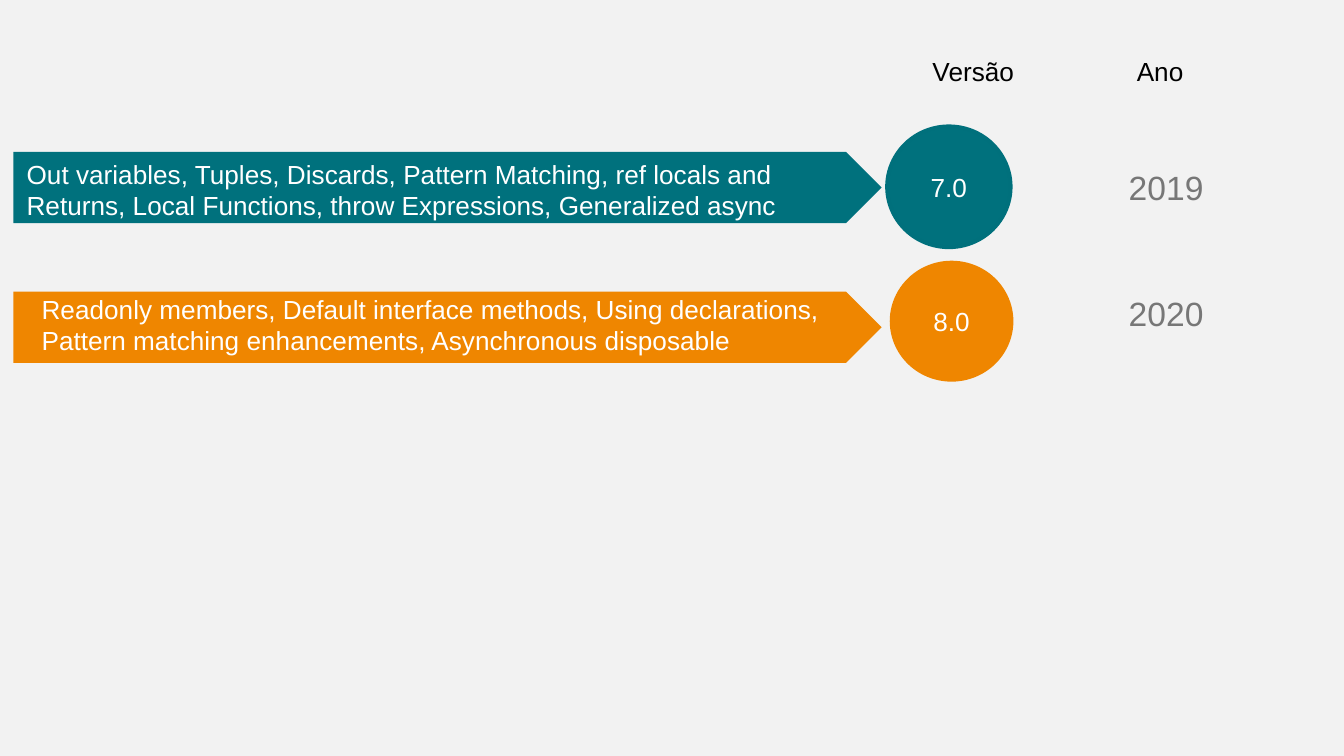
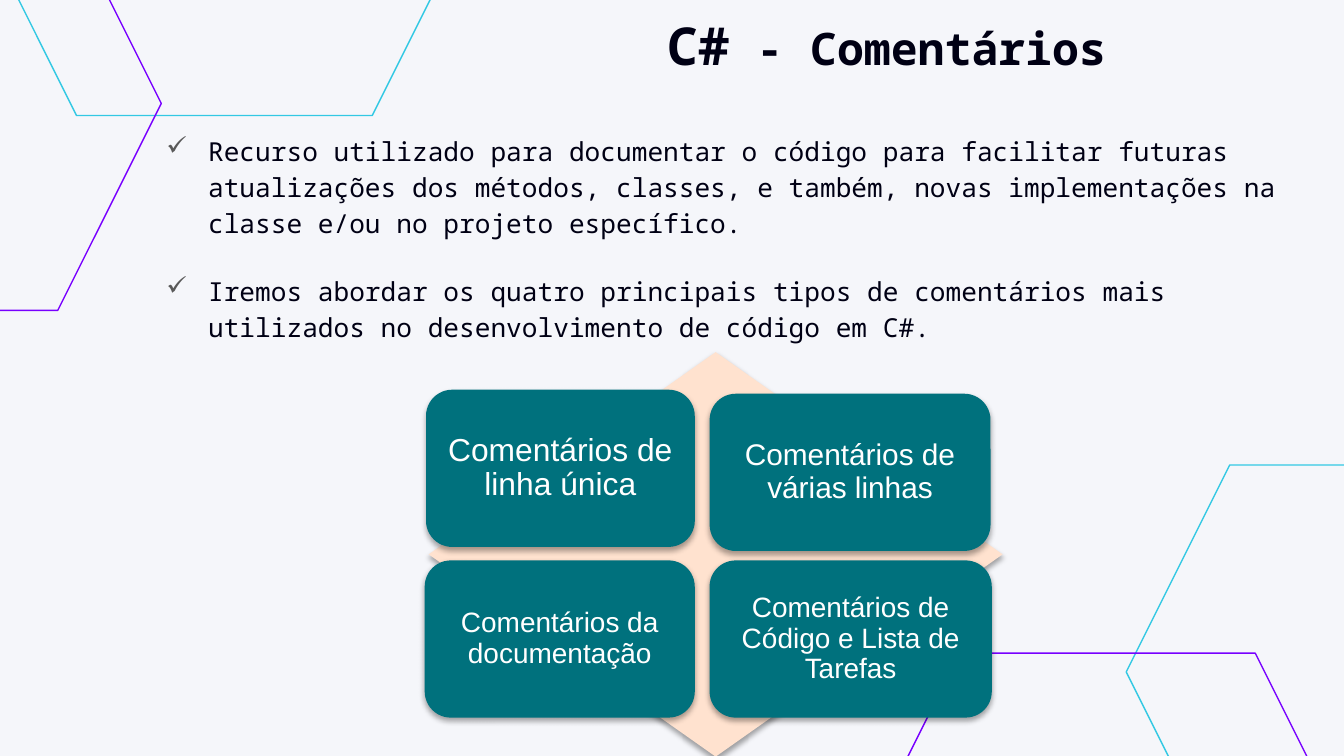
from lxml import etree
from pptx import Presentation
from pptx.dml.color import RGBColor
from pptx.enum.shapes import MSO_SHAPE
from pptx.enum.text import MSO_ANCHOR, MSO_AUTO_SIZE, PP_ALIGN
from pptx.oxml import parse_xml
from pptx.oxml.ns import nsdecls, qn
from pptx.util import Inches, Pt

ARROW, CIRCLE = MSO_SHAPE.PENTAGON, MSO_SHAPE.OVAL
HEXAGON, DIAMOND, CARD = MSO_SHAPE.HEXAGON, MSO_SHAPE.DIAMOND, MSO_SHAPE.ROUNDED_RECTANGLE
TOP, MIDDLE = MSO_ANCHOR.TOP, MSO_ANCHOR.MIDDLE
LEFT, CENTER = PP_ALIGN.LEFT, PP_ALIGN.CENTER
NO_FIT = MSO_AUTO_SIZE.NONE

TEAL = RGBColor(0x00, 0x71, 0x7D)
TEAL_EDGE = RGBColor(0x00, 0x70, 0x7C)
ORANGE = RGBColor(0xEF, 0x86, 0x00)
PEACH = RGBColor(0xFF, 0xE2, 0xCF)
CYAN = RGBColor(0x32, 0xC8, 0xE3)
PURPLE = RGBColor(0x78, 0x00, 0xFF)
INK = RGBColor(0x00, 0x00, 0x14)
BLACK = RGBColor(0x00, 0x00, 0x00)
GREY = RGBColor(0x77, 0x77, 0x77)
WHITE = RGBColor(0xFF, 0xFF, 0xFF)
PALE_GREY = RGBColor(0xF2, 0xF2, 0xF2)
PALE_BLUE = RGBColor(0xF5, 0xF6, 0xFA)

SANS, MONO = "Arial", "Noto Sans Mono"

# Grid: 100 columns across the slide, square cells
deck = Presentation()
deck.slide_width, deck.slide_height = Inches(10), Inches(5.625)
CELL = deck.slide_width // 100


def add_figure(slide, preset, box, fill=None, line=None, width=0.75):
    figure = slide.shapes.add_shape(preset, *(round(n * CELL) for n in box))
    figure.shadow.inherit = False
    if fill is None:
        figure.fill.background()
    else:
        figure.fill.solid()
        figure.fill.fore_color.rgb = fill
    if line is None:
        figure.line.fill.background()
    else:
        figure.line.color.rgb = line
        figure.line.width = Pt(width)
    return figure


def write(frame, paragraphs, color, size, face=SANS, extras="", frame_format=None, **paragraph_format):
    """Each paragraph is a text; extras holds bullet or tab elements."""
    for name, value in {"word_wrap": True, "auto_size": NO_FIT, **(frame_format or {})}.items():
        setattr(frame, name, value)
    for number, text in enumerate(paragraphs):
        paragraph = frame.add_paragraph() if number else frame.paragraphs[0]
        if extras:
            holder = parse_xml(f'<a:pPr {nsdecls("a")}>{extras}</a:pPr>')
            for element in list(holder):
                paragraph._p.get_or_add_pPr().append(element)
        for name, value in paragraph_format.items():
            setattr(paragraph, name, value)
        run = paragraph.add_run()
        run.text = text
        for name, value in {"name": face, "size": Pt(size)}.items():
            setattr(run.font, name, value)
        run.font.color.rgb = color


# Slide 1: versions, their features and years
versions = deck.slides.add_slide(deck.slide_layouts[6])
versions.background.fill.solid()
versions.background.fill.fore_color.rgb = PALE_GREY

heading = versions.shapes.add_textbox(*(round(n * CELL) for n in (68.4, 3.6, 21, 3.4)))
write(heading.text_frame, ["Versão\tAno"], BLACK, 14,
      extras=f'<a:tabLst><a:tab pos="{Inches(1.52)}" algn="l"/></a:tabLst>')

# version, year, features, fill, edge, arrow top, text indent and drop, circle box, year top
rows = [
    ("7.0", "2019",
     ["Out variables, Tuples, Discards, Pattern Matching, ref locals and",
      "Returns, Local Functions, throw Expressions, Generalized async"],
     TEAL, TEAL_EDGE, 11.3, 1, 0.5, (66, 9.4, 9.2, 9), 11.9),
    ("8.0", "2020",
     ["Readonly members, Default interface methods, Using declarations,",
      "Pattern matching enhancements, Asynchronous disposable"],
     ORANGE, None, 21.7, 2.1, 0.1, (66.2, 19.4, 9.2, 9), 21.3),
]
for version, year, features, fill, edge, top, indent, drop, circle_box, year_top in rows:
    arrow = add_figure(versions, ARROW, (1, top, 64.6, 5.3), fill)
    write(arrow.text_frame, features, WHITE, 14, alignment=LEFT,
          frame_format={"vertical_anchor": TOP, "margin_left": round(indent * CELL),
                        "margin_top": round(drop * CELL), "margin_right": 0, "margin_bottom": 0})
    circle = add_figure(versions, CIRCLE, circle_box, fill, edge, 2)
    write(circle.text_frame, [version], WHITE, 14, alignment=CENTER,
          frame_format={"vertical_anchor": MIDDLE})
    year_label = versions.shapes.add_textbox(*(round(n * CELL) for n in (83, year_top, 9.2, 4)))
    write(year_label.text_frame, [year], GREY, 18)

# Slide 2: comments in C#
comments = deck.slides.add_slide(deck.slide_layouts[5])
comments.background.fill.solid()
comments.background.fill.fore_color.rgb = PALE_BLUE
padding = {f"margin_{side}": CELL for side in ("left", "top", "right", "bottom")}

# Corner hexagons
for left, top, line in [(83.8, 34.6, CYAN), (63.7, 48.6, PURPLE),
                        (-2, -22.2, CYAN), (-25.4, -7.7, PURPLE)]:
    add_figure(comments, HEXAGON, (left, top, 37.4, 30.8), line=line)

# Title
title = comments.shapes.title
for name, cells in {"left": 31.9, "top": 0, "width": 68.1, "height": 5.4}.items():
    setattr(title, name, round(cells * CELL))
write(title.text_frame, ["C#"], INK, 28, MONO, alignment=CENTER,
      frame_format={"vertical_anchor": TOP, **padding})
topic = title.text_frame.paragraphs[0].add_run()
topic.text = " - Comentários"
for name, value in {"name": MONO, "size": Pt(24)}.items():
    setattr(topic.font, name, value)
topic.font.color.rgb = INK
for run in title.text_frame.paragraphs[0].runs:
    run.font.bold = True

# Checked points
points = comments.shapes.add_textbox(*(round(n * CELL) for n in (11.4, 8.7, 87.9, 17.5)))
write(points.text_frame,
      ["Recurso utilizado para documentar o código para facilitar futuras atualizações dos métodos, "
       "classes, e também, novas implementações na classe e/ou no projeto específico.",
       "Iremos abordar os quatro principais tipos de comentários mais utilizados no "
       "desenvolvimento de código em C#."],
      INK, 14, MONO, frame_format=padding, line_spacing=1.15, space_after=Pt(17),
      extras='<a:buClr><a:srgbClr val="595959"/></a:buClr><a:buChar char="✓"/>')
for paragraph in points.text_frame.paragraphs:
    for name, inches in {"marL": 0.31, "indent": -0.31}.items():
        paragraph._p.pPr.set(name, str(Inches(inches)))

# Diamond with the four kinds of comment
matrix = [add_figure(comments, DIAMOND, (31.9, 26.2, 42.7, 30.1), PEACH)]
kinds = [
    ("Comentários de linha única", 17, (31.7, 29, 20, 11.7)),
    ("Comentários de várias linhas", 16, (52.8, 29.3, 20.9, 11.7)),
    ("Comentários da documentação", 15, (31.6, 41.7, 20.1, 11.7)),
    ("Comentários de Código e Lista de Tarefas", 15, (52.8, 41.7, 21, 11.7)),
]
for kind, size, box in kinds:
    card = add_figure(comments, CARD, box, TEAL)
    write(card.text_frame, [kind], WHITE, size, alignment=CENTER, line_spacing=0.9,
          frame_format={"vertical_anchor": MIDDLE, **padding})
    matrix.append(card)

# Soft shadow below the diamond and cards
for figure in matrix:
    effects = figure._element.spPr.find(qn("a:effectLst"))
    shadow = etree.SubElement(effects, qn("a:outerShdw"), blurRad=str(Pt(3.1)),
                              dist=str(Pt(1.8)), dir="5400000", rotWithShape="0")
    shade = etree.SubElement(shadow, qn("a:srgbClr"), val="000000")
    etree.SubElement(shade, qn("a:alpha"), val="35000")

deck.save("out.pptx")
